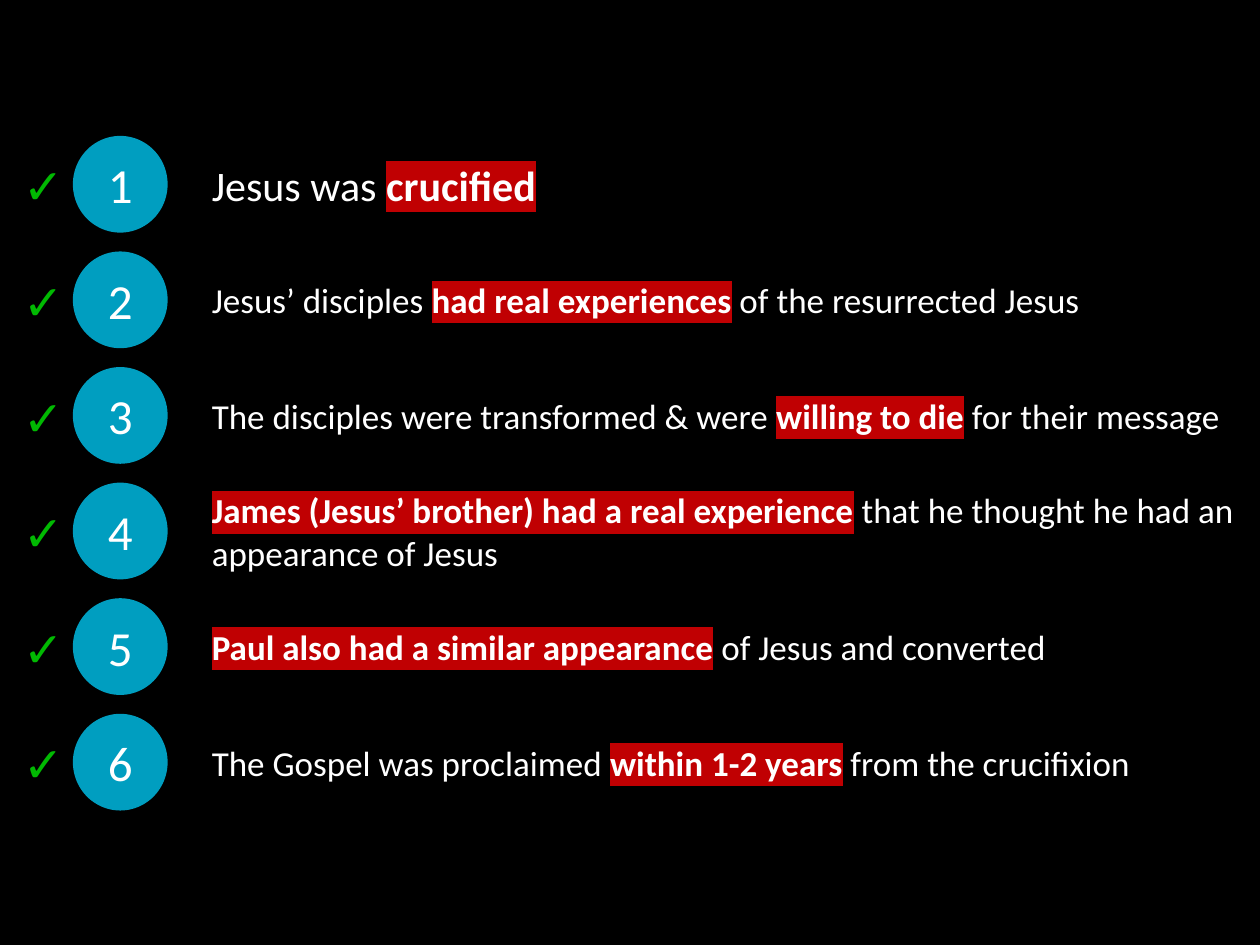
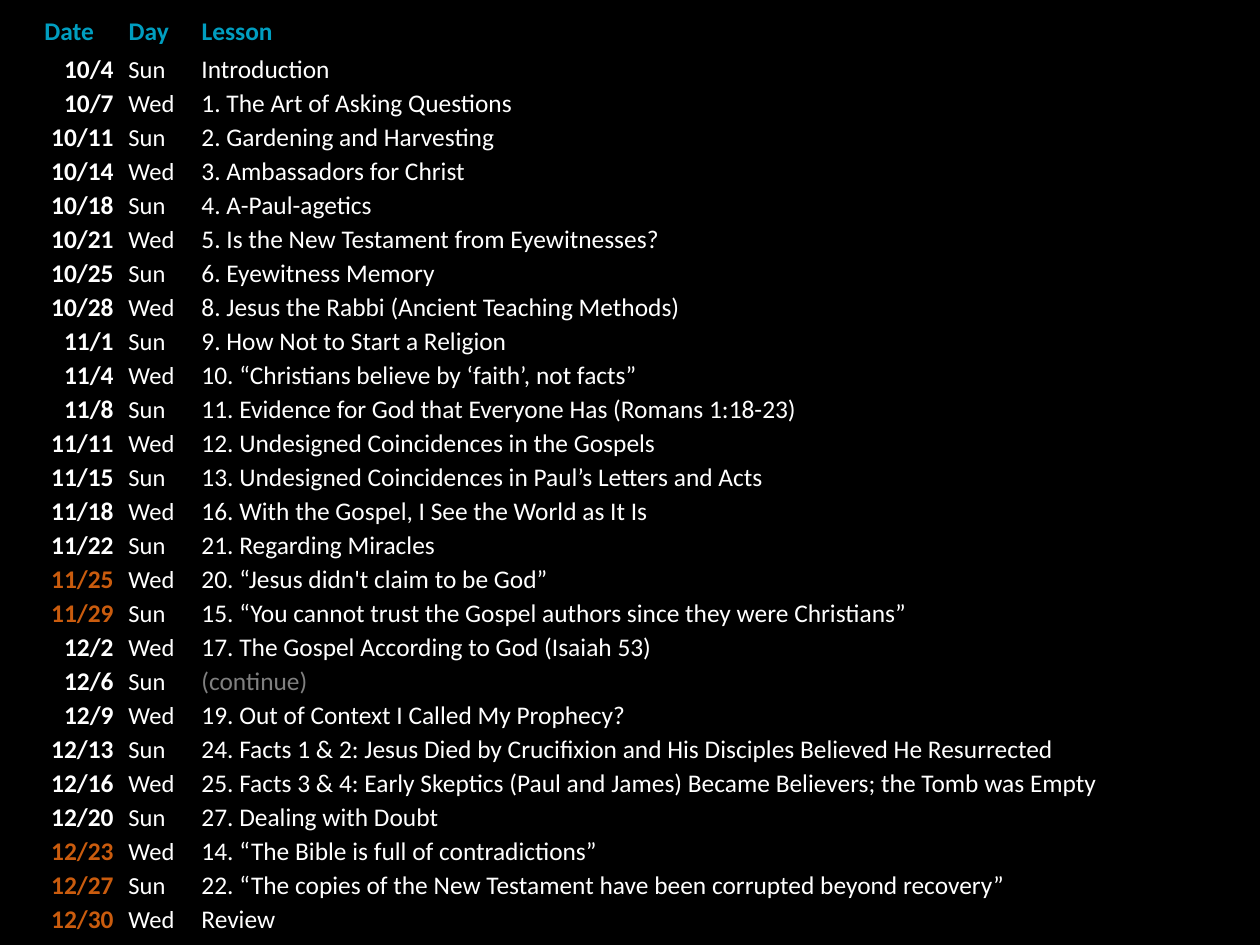
"""Build a six-fact summary slide and a lesson schedule slide."""
from lxml.etree import SubElement
from pptx import Presentation
from pptx.dml.color import RGBColor
from pptx.enum.shapes import MSO_SHAPE as Shape
from pptx.enum.text import MSO_ANCHOR as Anchor, PP_ALIGN as Align
from pptx.oxml.ns import qn
from pptx.util import Cm, Pt

FONT = "Calibri"
BLACK, WHITE, TEAL, RED = "000000", "FFFFFF", "009EC0", "C00002"
GREEN, ORANGE, GRAY = "01B902", "CA5C0E", "808080"
NO_STYLE = "{2D5ABB26-0587-4C30-8999-92F81FD0307C}"

FACTS = [
    ("Jesus was ", "crucified", ""),
    ("Jesus’ disciples ", "had real experiences", " of the resurrected Jesus"),
    ("The disciples were transformed & were ", "willing to die", " for their message"),
    ("", "James (Jesus’ brother) had a real experience",
     " that he thought he had an appearance of Jesus"),
    ("", "Paul also had a similar appearance", " of Jesus and converted"),
    ("The Gospel was proclaimed ", "within 1-2 years", " from the crucifixion"),
]
FACT_SIZES = [24, 20, 20, 20, 20, 20]

HEADINGS = ["Date", "Day", "Lesson"]
DAYS = ["Sun", "Wed"]
LESSONS = [
    ("10/4", "Introduction"),
    ("10/7", "1. The Art of Asking Questions"),
    ("10/11", "2. Gardening and Harvesting"),
    ("10/14", "3. Ambassadors for Christ"),
    ("10/18", "4. A-Paul-agetics"),
    ("10/21", "5. Is the New Testament from Eyewitnesses?"),
    ("10/25", "6. Eyewitness Memory"),
    ("10/28", "8. Jesus the Rabbi (Ancient Teaching Methods)"),
    ("11/1", "9. How Not to Start a Religion"),
    ("11/4", "10. “Christians believe by ‘faith’, not facts”"),
    ("11/8", "11. Evidence for God that Everyone Has (Romans 1:18-23)"),
    ("11/11", "12. Undesigned Coincidences in the Gospels"),
    ("11/15", "13. Undesigned Coincidences in Paul’s Letters and Acts"),
    ("11/18", "16. With the Gospel, I See the World as It Is"),
    ("11/22", "21. Regarding Miracles"),
    ("11/25", "20. “Jesus didn't claim to be God”"),
    ("11/29", "15. “You cannot trust the Gospel authors since they were Christians”"),
    ("12/2", "17. The Gospel According to God (Isaiah 53)"),
    ("12/6", "(continue)"),
    ("12/9", "19. Out of Context I Called My Prophecy?"),
    ("12/13", "24. Facts 1 & 2: Jesus Died by Crucifixion and His Disciples Believed He Resurrected"),
    ("12/16", "25. Facts 3 & 4: Early Skeptics (Paul and James) Became Believers; the Tomb was Empty"),
    ("12/20", "27. Dealing with Doubt"),
    ("12/23", "14. “The Bible is full of contradictions”"),
    ("12/27", "22. “The copies of the New Testament have been corrupted beyond recovery”"),
    ("12/30", "Review"),
]
HOLIDAY_DATES = {"11/25", "11/29", "12/23", "12/27", "12/30"}

COLUMN_WIDTHS = [1.7, 1.47, 20.32]
ROW_HEIGHT = 0.66
LESSON_CELL = {"vertical_anchor": Anchor.BOTTOM, "margin_left": Cm(0.25),
               "margin_right": Cm(0.05), "margin_top": Cm(0.03),
               "margin_bottom": Cm(0.04)}

FACT_TOP, FACT_PITCH, FACT_HEIGHT = 2.74, 2.33, 1.95
CIRCLE_LEFT, CIRCLE_WIDTH = 1.47, 1.91
FACT_LEFT, FACT_WIDTH = 4.02, 21.3
CHECK_LEFT, CHECK_DROP, CHECK_WIDTH, CHECK_HEIGHT = 0.21, 0.28, 1.27, 1.45


def color(hex_value):
    return RGBColor.from_string(hex_value)


def apply(target, values):
    for name, value in values.items():
        setattr(target, name, value)


def add_run(paragraph, text, size, hex_value=WHITE, bold=False, highlight=None):
    run = paragraph.add_run()
    run.text = text
    apply(run.font, {"name": FONT, "size": Pt(size), "bold": bold})
    run.font.color.rgb = color(hex_value)
    if highlight:
        properties = run.font.fill._xPr
        mark = SubElement(properties, qn("a:highlight"))
        SubElement(mark, qn("a:srgbClr"), val=highlight)
        properties.find(qn("a:solidFill")).addnext(mark)


def add_slide(presentation):
    slide = presentation.slides.add_slide(presentation.slide_layouts[6])
    slide.background.fill.solid()
    slide.background.fill.fore_color.rgb = color(BLACK)
    return slide


def add_text(slide, left, top, width, height, wrap, anchor):
    frame = slide.shapes.add_textbox(Cm(left), Cm(top), Cm(width), Cm(height)).text_frame
    apply(frame, {"word_wrap": wrap, "vertical_anchor": anchor})
    return frame.paragraphs[0]


def add_circle(slide, top, number):
    circle = slide.shapes.add_shape(Shape.OVAL, Cm(CIRCLE_LEFT), Cm(top),
                                    Cm(CIRCLE_WIDTH), Cm(FACT_HEIGHT))
    circle.shadow.inherit = False
    circle.fill.solid()
    circle.fill.fore_color.rgb = color(TEAL)
    circle.line.fill.background()
    circle.text_frame.vertical_anchor = Anchor.MIDDLE
    paragraph = circle.text_frame.paragraphs[0]
    paragraph.alignment = Align.CENTER
    add_run(paragraph, str(number), 28)


def build_facts(slide):
    for index, ((before, key, after), size) in enumerate(zip(FACTS, FACT_SIZES)):
        top = FACT_TOP + index * FACT_PITCH
        add_circle(slide, top, index + 1)
        fact = add_text(slide, FACT_LEFT, top, FACT_WIDTH, FACT_HEIGHT, True, Anchor.MIDDLE)
        for text, highlight in ((before, None), (key, RED), (after, None)):
            if text:
                add_run(fact, text, size, bold=bool(highlight), highlight=highlight)
        check = add_text(slide, CHECK_LEFT, top + CHECK_DROP, CHECK_WIDTH, CHECK_HEIGHT,
                         False, Anchor.TOP)
        add_run(check, "✓", 28, GREEN, True)


def fill_cell(cell, text, size, hex_value, bold, cell_format, alignment=None):
    cell.fill.background()
    apply(cell, cell_format)
    paragraph = cell.text_frame.paragraphs[0]
    paragraph.alignment = alignment
    add_run(paragraph, text, size, hex_value, bold)


def build_schedule(slide):
    row_count = len(LESSONS) + 1
    frame = slide.shapes.add_table(row_count, len(HEADINGS), Cm(0.64), Cm(0.2),
                                   Cm(sum(COLUMN_WIDTHS)), Cm(ROW_HEIGHT * row_count))
    table = frame.table
    apply(table, {"first_row": False, "horz_banding": False})
    table._tbl.tblPr.find(qn("a:tableStyleId")).text = NO_STYLE
    for column, width in zip(table.columns, COLUMN_WIDTHS):
        column.width = Cm(width)
    for row in table.rows:
        row.height = Cm(ROW_HEIGHT)
    for column, heading in enumerate(HEADINGS):
        fill_cell(table.cell(0, column), heading, 14.5, TEAL, True, {})
    for index, (date, lesson) in enumerate(LESSONS):
        date_color = ORANGE if date in HOLIDAY_DATES else WHITE
        lesson_color = GRAY if lesson == "(continue)" else WHITE
        cells = table.rows[index + 1].cells
        fill_cell(cells[0], date, 14.5, date_color, True, LESSON_CELL, Align.RIGHT)
        fill_cell(cells[1], DAYS[index % 2], 14, WHITE, False, LESSON_CELL)
        fill_cell(cells[2], lesson, 14.5, lesson_color, False, LESSON_CELL)


def main():
    presentation = Presentation()
    apply(presentation, {"slide_width": Cm(25.4), "slide_height": Cm(19.05)})
    for build in (build_facts, build_schedule):
        build(add_slide(presentation))
    presentation.save("out.pptx")


if __name__ == "__main__":
    main()
